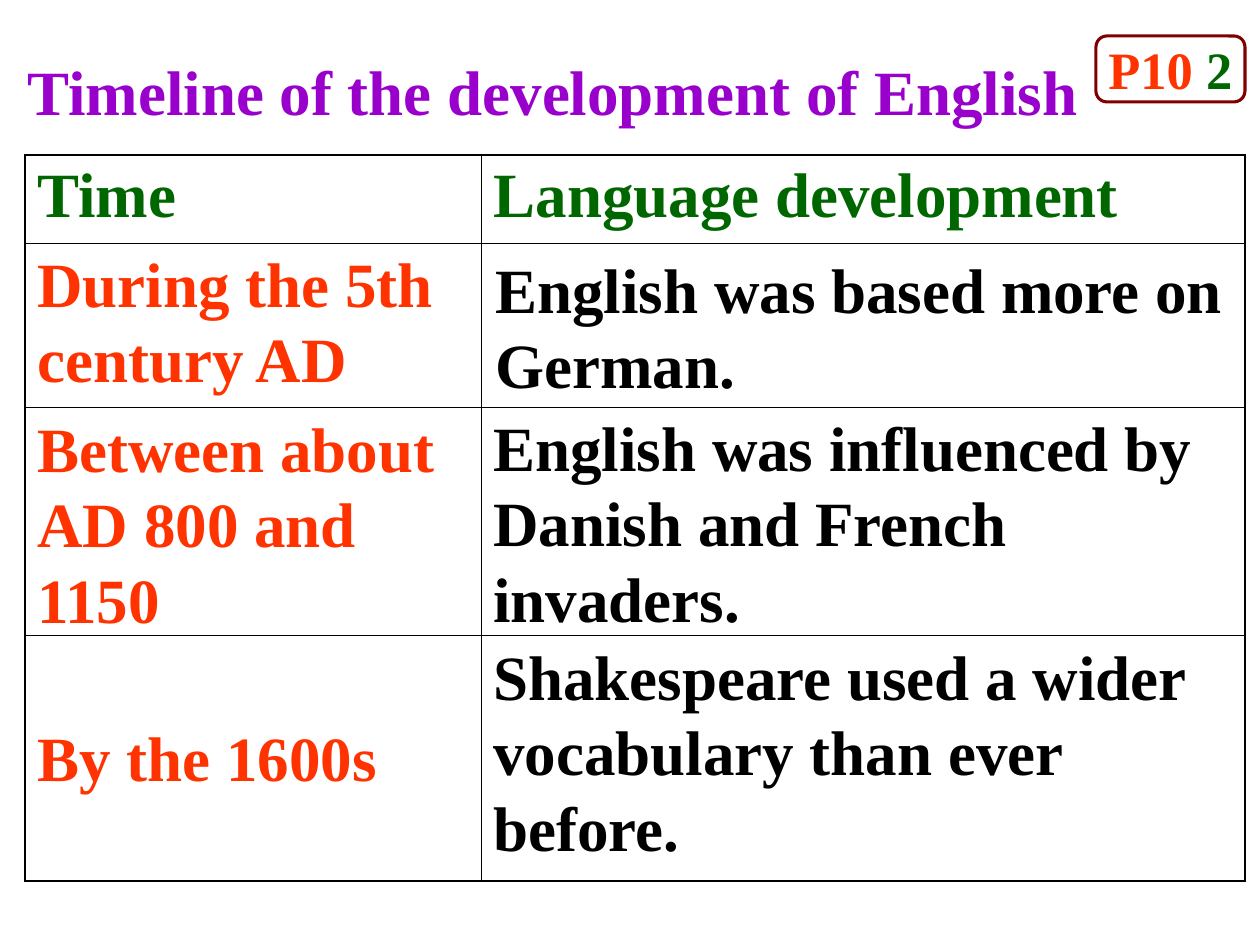
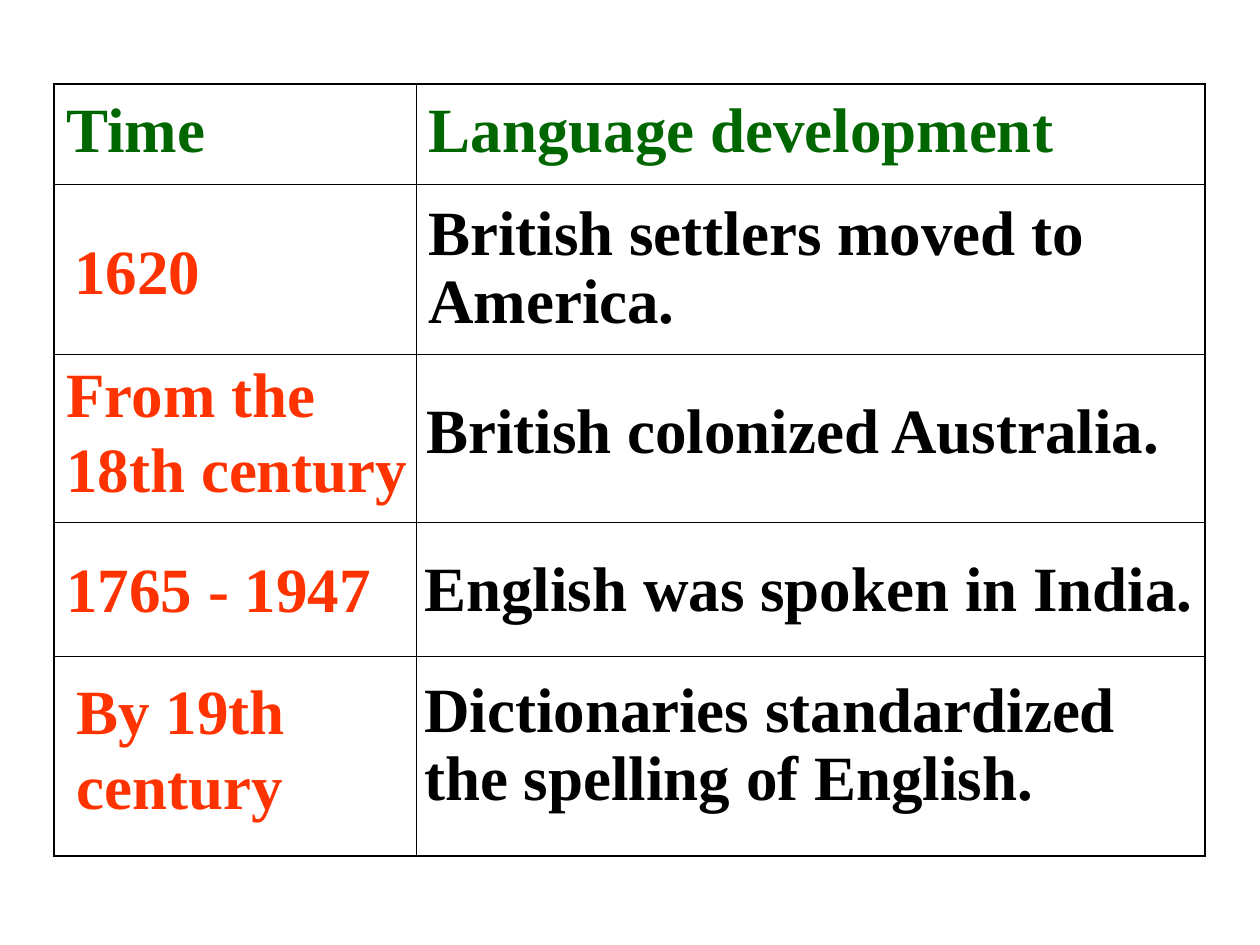
from dataclasses import dataclass

from lxml import etree
from pptx import Presentation
from pptx import util as u
from pptx.dml.color import RGBColor as Rgb
from pptx.enum import shapes, text
from pptx.oxml.ns import qn


@dataclass(frozen=True)
class Theme:
    font: str = "Times New Roman"
    body: int = 36
    badge: int = 30
    title: str = "9900CC"
    head: str = "006600"
    time: str = "FF3300"
    event: str = "000000"
    frame: str = "800000"
    rule: str = "000000"
    thick: float = 1.08
    thin: float = 0.45


T = Theme()
PX = 914400 / 126


def write(frame, words, color, size=T.body, space=None):
    """Fill a text frame, one paragraph per line of words."""
    frame.text = words
    for para in frame.paragraphs:
        para.line_spacing = space
        para.font.name, para.font.size = T.font, u.Pt(size)
        para.font.bold = True
        para.font.color.rgb = Rgb.from_string(color)


def place(*box):
    """Turn px lengths into EMU."""
    return [round(n * PX) for n in box]


# Each slide: table corner, columns, rows, head style, then its texts
# Each text: left, top, width, height, wrap, words, colour, line spacing
pages = [
    dict(
        at=(25, 155), cols=(456, 764), rows=(88, 164, 228, 246),
        anchor=text.MSO_ANCHOR.TOP, space=None,
        notes=[
            (15, 46, 1080, 88, False, "Timeline of the development of English", T.title, None),
            (25, 238, 440, 164, False, "During the 5th\ncentury AD", T.time, None),
            (25, 403, 456, 239, True, "Between about AD 800 and 1150", T.time, None),
            (25, 712, 370, 88, False, "By the 1600s", T.time, None),
            (483, 244, 772, 164, True, "English was based more on German.", T.event, None),
            (481, 402, 745, 239, True,
             "English was influenced by Danish and French invaders.", T.event, None),
            (481, 631, 725, 239, True,
             "Shakespeare used a wider vocabulary than ever before.", T.event, None),
        ],
    ),
    dict(
        at=(54, 84), cols=(362, 789), rows=(100, 170, 168, 135, 199),
        anchor=text.MSO_ANCHOR.MIDDLE, space=0.9,
        notes=[
            (62, 225, 156, 88, False, "1620", T.time, None),
            (54, 348, 370, 164, True, "From the 18th century", T.time, None),
            (54, 543, 336, 88, False, "1765 - 1947", T.time, None),
            (64, 665, 328, 164, True, "By 19th century", T.time, None),
            (416, 195, 730, 149, True, "British settlers moved to America.", T.event, 0.9),
            (414, 393, 766, 81, False, "British colonized Australia.", T.event, 0.9),
            (412, 551, 800, 81, False, "English was spoken in India.", T.event, 0.9),
            (412, 672, 780, 149, True,
             "Dictionaries standardized the spelling of English.", T.event, 0.9),
        ],
    ),
]

deck = Presentation()
deck.slide_width, deck.slide_height = u.Inches(10), u.Inches(7.5)

for page in pages:
    slide = deck.slides.add_slide(deck.slide_layouts[6])

    # Table grid
    cols, rows = page["cols"], page["rows"]
    grid = slide.shapes.add_table(
        len(rows), len(cols), *place(*page["at"], sum(cols), sum(rows))).table
    grid.first_row = grid.horz_banding = False
    for col, wide in zip(grid.columns, cols):
        col.width = round(wide * PX)
    for row, high in zip(grid.rows, rows):
        row.height = round(high * PX)

    # Cell borders: thick outside, thin inside
    for r in range(len(rows)):
        for c in range(len(cols)):
            cell = grid.cell(r, c)
            cell.vertical_anchor = page["anchor"]
            outer = {"lnL": c == 0, "lnR": c == len(cols) - 1,
                     "lnT": r == 0, "lnB": r == len(rows) - 1}
            props = cell._tc.get_or_add_tcPr()
            for side, edge in outer.items():
                width = u.Pt(T.thick if edge else T.thin)
                line = etree.SubElement(props, qn("a:" + side), w=str(int(width)))
                fill = etree.SubElement(line, qn("a:solidFill"))
                etree.SubElement(fill, qn("a:srgbClr"), val=T.rule)
            cell.fill.background()

    # Head row
    for c, words in enumerate(("Time", "Language development")):
        write(grid.cell(0, c).text_frame, words, T.head, space=page["space"])

    # Title, times and events
    for *box, wrap, words, color, space in page["notes"]:
        frame = slide.shapes.add_textbox(*place(*box)).text_frame
        write(frame, words, color, space=space)
        frame.word_wrap = wrap
        frame.auto_size = text.MSO_AUTO_SIZE.SHAPE_TO_FIT_TEXT

# Page badge on the first slide
badge = deck.slides[0].shapes.add_shape(
    shapes.MSO_SHAPE.ROUNDED_RECTANGLE, *place(1096, 36, 149, 66))
badge.shadow.inherit = False
badge.fill.background()
badge.line.color.rgb = Rgb.from_string(T.frame)
badge.line.width = u.Pt(1.75)
frame = badge.text_frame
frame.word_wrap = False
frame.vertical_anchor = text.MSO_ANCHOR.MIDDLE
write(frame, "P10 ", T.time, T.badge)
para = frame.paragraphs[0]
para.alignment = text.PP_ALIGN.CENTER
run = para.add_run()
run.text = "2"
run.font.color.rgb = Rgb.from_string(T.head)

deck.save("out.pptx")
